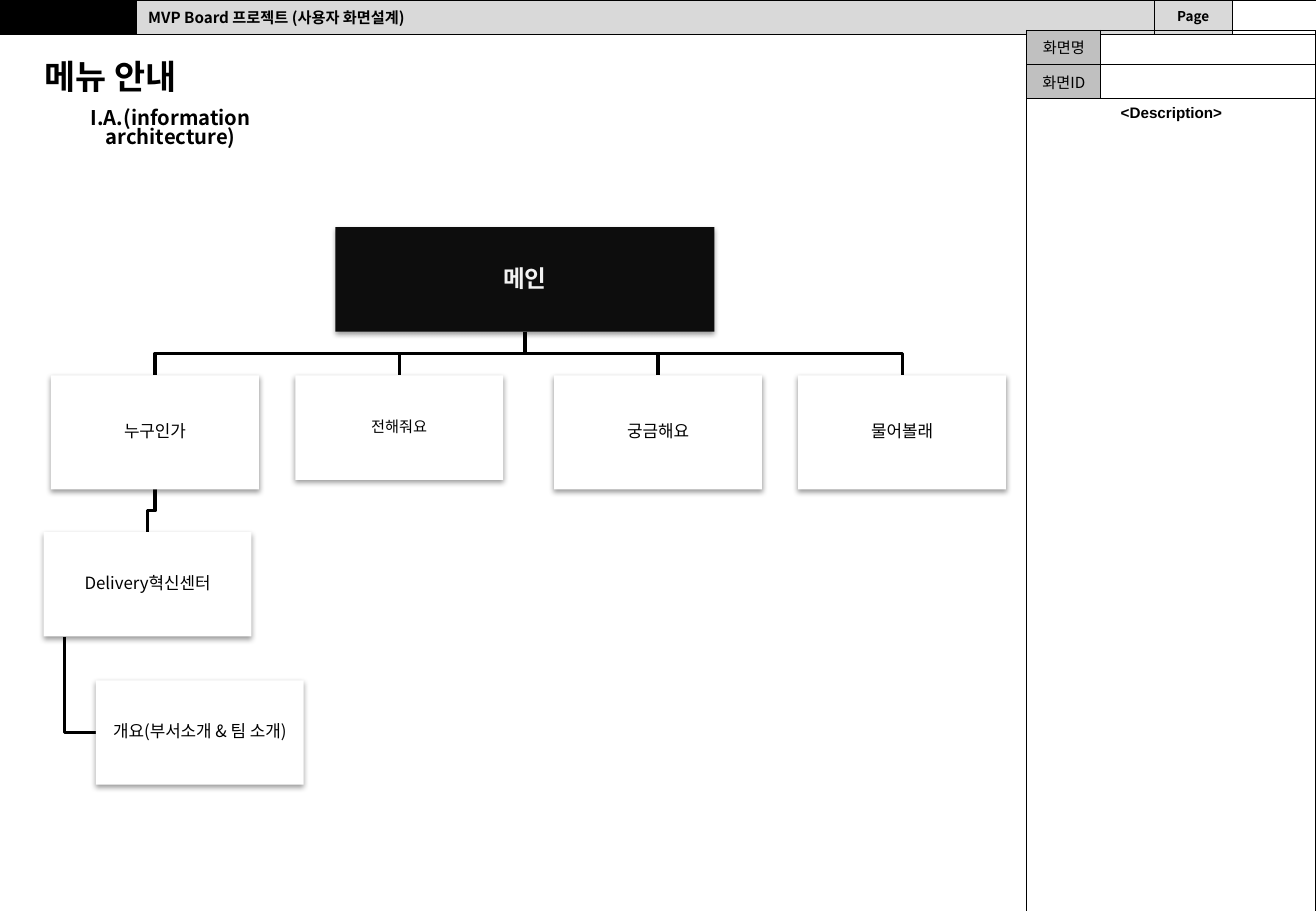
"""Menu structure slide with a page header and a description panel."""
from lxml import etree
from pptx import Presentation, util as u
from pptx.dml.color import RGBColor
from pptx.enum import shapes, text
from pptx.oxml import parse_xml
from pptx.oxml.ns import nsdecls, qn

HUES = {"ink": "000000", "main": "0D0D0D", "pale": "F2F2F2",
        "paper": "FFFFFF", "head": "D9D9D9", "label": "C0C0C0"}
FACE = "Noto Sans CJK KR"
MID = text.PP_ALIGN.CENTER


class Board:
    """Draws on one slide, with lengths in percent of its width and height."""

    def __init__(self, deck):
        self.wide, self.high = deck.slide_width, deck.slide_height
        self.slide = deck.slides.add_slide(deck.slide_layouts[5])
        self.items = self.slide.shapes

    def x(self, cols):
        return round(self.wide * cols / 100)

    def y(self, rows):
        return round(self.high * rows / 100)

    def area(self, left, top, wide, high):
        return self.x(left), self.y(top), self.x(wide), self.y(high)

    def label(self, frame, words, size, bold=False, hue="ink", align=None, face=FACE, lead=None):
        para = frame.paragraphs[0]
        para.text = words
        para.alignment = align
        para.line_spacing = lead
        font = para.font
        font.size, font.bold, font.name = u.Pt(size), bold, face
        font.color.rgb = RGBColor.from_string(HUES[hue])
        props = para._p.pPr.find(qn("a:defRPr"))
        etree.SubElement(props, qn("a:ea")).set("typeface", face)

    def title(self, words, spot):
        head = self.items.title
        head.left, head.top, head.width, head.height = self.area(*spot)
        frame = head.text_frame
        frame.auto_size = text.MSO_AUTO_SIZE.NONE
        frame.word_wrap = False
        frame.vertical_anchor = text.MSO_ANCHOR.TOP
        self.label(frame, words, 20, True, align=text.PP_ALIGN.LEFT)

    def note(self, words, spot, inset):
        frame = self.items.add_textbox(*self.area(*spot)).text_frame
        frame.word_wrap = True
        frame.margin_left = frame.margin_right = self.x(inset)
        self.label(frame, words, 12, True, align=MID, lead=0.82)

    def box(self, words, spot, size=10, fill="paper", hue="ink", bold=False):
        card = self.items.add_shape(shapes.MSO_SHAPE.RECTANGLE, *self.area(*spot))
        card.fill.solid()
        card.fill.fore_color.rgb = RGBColor.from_string(HUES[fill])
        card.line.fill.background()
        card._element.spPr.append(parse_xml(
            f'<a:effectLst {nsdecls("a")}><a:outerShdw blurRad="40000" dist="20000" '
            f'dir="5400000" rotWithShape="0"><a:srgbClr val="{HUES["ink"]}">'
            '<a:alpha val="38000"/></a:srgbClr></a:outerShdw></a:effectLst>'))
        frame = card.text_frame
        frame.word_wrap = True
        frame.vertical_anchor = text.MSO_ANCHOR.MIDDLE
        frame.margin_left = frame.margin_right = u.Inches(0.01)
        frame.margin_top = frame.margin_bottom = u.Inches(0.01)
        self.label(frame, words, size, bold, hue, MID, lead=0.9)

    def wire(self, *spots):
        dots = [(self.x(col), self.y(row)) for col, row in spots]
        pen = self.items.build_freeform(*dots[0])
        pen.add_line_segments(dots[1:], close=False)
        line = pen.convert_to_shape()
        line.fill.background()
        line.line.color.rgb = RGBColor.from_string(HUES["ink"])
        line.line.width = u.Pt(2)
        line.shadow.inherit = False

    def drop(self, above, below):
        start = above[0] + above[2] / 2
        end = below[0] + below[2] / 2
        foot = above[1] + above[3]
        bend = (foot + below[1]) / 2
        self.wire((start, foot), (start, bend), (end, bend), (end, below[1]))

    def table(self, left, top, cols, rows, cells, edge):
        spot = self.area(left, top, sum(cols), sum(rows))
        grid = self.items.add_table(len(rows), len(cols), *spot).table
        grid.first_row = grid.horz_banding = False
        for col, size in zip(grid.columns, cols):
            col.width = self.x(size)
        for row, size in zip(grid.rows, rows):
            row.height = self.y(size)
        for i, line in enumerate(cells):
            for j, (words, fill, style) in enumerate(line):
                self.cell(grid.cell(i, j), words, fill, style, edge)
        return grid

    def cell(self, cell, words, fill, style, edge):
        self.label(cell.text_frame, words, **{"size": 9, **style})
        props = cell._tc.get_or_add_tcPr()
        for side in "LRTB":
            props.append(parse_xml(
                f'<a:ln{side} {nsdecls("a")} w="{u.Pt(edge)}"><a:solidFill>'
                f'<a:srgbClr val="{HUES["ink"]}"/></a:solidFill></a:ln{side}>'))
        if fill:
            cell.fill.solid()
            cell.fill.fore_color.rgb = RGBColor.from_string(HUES[fill])
        else:
            cell.fill.background()


def main():
    deck = Presentation()
    deck.slide_width, deck.slide_height = u.Inches(10.83), u.Inches(7.5)
    board = Board(deck)

    blank = ("", None, {})
    board.table(0, 0, [10.34, 77.38, 5.91, 6.37], [3.33], [[
        ("", "ink", {}),
        ("MVP Board 프로젝트 (사용자 화면설계)", "head", {"bold": True}),
        ("Page", "head", {"size": 8, "bold": True, "align": MID}),
        blank]], 0.5)
    panel = board.table(78.02, 3.33, [5.63, 16.35], [3.33, 3.33, 89.87], [
        [("화면명", "label", {"align": MID}), blank],
        [("화면ID", "label", {"align": MID}), blank],
        [("<Description>", None, {"bold": True, "align": MID, "face": "Arial"}), blank]], 0.75)
    panel.cell(2, 0).merge(panel.cell(2, 1))

    wide, low, tall = 15.79, 11.47, 12.53
    root = (25.48, 24.93, 28.81, low)
    menus = [("누구인가", 3.88, tall, 10), ("전해줘요", 22.44, low, 9),
             ("궁금해요", 42.11, tall, 10), ("물어볼래", 60.66, tall, 10)]
    spots = [(left, 41.2, wide, high) for _, left, high, _ in menus]
    team = (3.32, 58.4, wide, low)
    about = (7.29, 74.67, wide, low)

    for spot in spots:
        board.drop(root, spot)
    board.drop(spots[0], team)
    stem, level = team[0] + wide / 10, about[1] + low / 2
    board.wire((stem, team[1] + low), (stem, level), (about[0], level))

    board.box("메인", root, 14, "main", "pale", True)
    for (words, _, _, size), spot in zip(menus, spots):
        board.box(words, spot, size)
    board.box("Delivery혁신센터", team)
    board.box("개요(부서소개 & 팀 소개)", about)
    board.note("I.A.(information architecture)", (1.29, 11.33, 23.36, 4), 3)
    board.title("메뉴 안내", (2.49, 5.47, 13.11, 5.87))
    deck.save("out.pptx")


if __name__ == "__main__":
    main()
